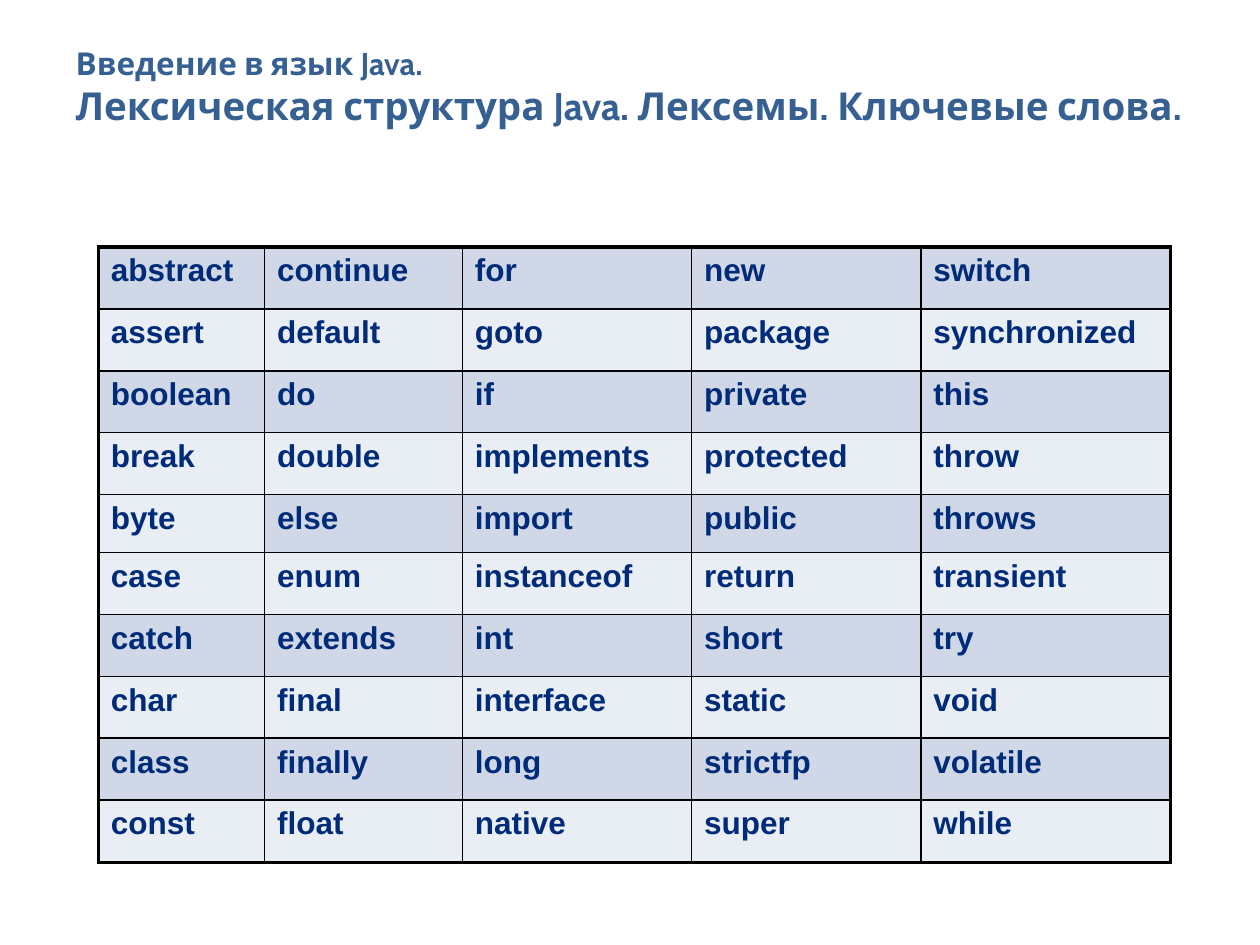
"""Build a slide that lists the Java keywords in a bordered table."""
import lxml.etree
import pptx
import pptx.dml.color
import pptx.enum.text
import pptx.oxml.ns
import pptx.util

Pt = pptx.util.Pt
RGBColor = pptx.dml.color.RGBColor

TITLE_LINES = [
    ("Введение в язык Java. ", 18),
    ("Лексическая структура Java. Лексемы. Ключевые слова.", 22),
]
KEYWORD_COLUMNS = [
    ["abstract", "assert", "boolean", "break", "byte", "case", "catch", "char", "class", "const"],
    ["continue", "default", "do", "double", "else", "enum", "extends", "final", "finally", "float"],
    ["for", "goto", "if", "implements", "import", "instanceof", "int", "interface", "long", "native"],
    ["new", "package", "private", "protected", "public", "return", "short", "static", "strictfp", "super"],
    ["switch", "synchronized", "this", "throw", "throws", "transient", "try", "void", "volatile", "while"],
]
COLUMN_WIDTHS = [95, 113, 131, 131, 142.6]
ROW_HEIGHTS = [35.4] * 4 + [33.1] + [35.4] * 4 + [35.7]
TABLE_LEFT, TABLE_TOP = 56.2, 141.1
OUTER_LINE, INNER_LINE = 2.21, 0.96
LIGHT_EXCEPTION = (4, 0)

TITLE_COLOR = RGBColor(0x37, 0x60, 0x92)
KEYWORD_COLOR = RGBColor(0x00, 0x2B, 0x78)
BORDER_COLOR = RGBColor(0x00, 0x00, 0x00)
DARK_BAND = RGBColor(0xD0, 0xD8, 0xE8)
LIGHT_BAND = RGBColor(0xE9, 0xED, 0xF4)


def add_child(parent, tag, **attributes):
    """Append a DrawingML element and return it."""
    return lxml.etree.SubElement(parent, pptx.oxml.ns.qn(tag), **attributes)


def set_font(font, name, color):
    """Apply a bold typeface and colour."""
    font.name = name
    font.bold = True
    font.color.rgb = color


def add_title(slide):
    """Fill and format the title placeholder."""
    title = slide.shapes.title
    title.left, title.top, title.width, title.height = Pt(36), Pt(21.6), Pt(648), Pt(90)
    frame = title.text_frame
    frame.word_wrap = True
    frame.auto_size = pptx.enum.text.MSO_AUTO_SIZE.NONE
    frame.vertical_anchor = pptx.enum.text.MSO_ANCHOR.TOP
    paragraph = frame.paragraphs[0]
    paragraph.alignment = pptx.enum.text.PP_ALIGN.LEFT
    for index, (text, size) in enumerate(TITLE_LINES):
        if index:
            paragraph.add_line_break()
            add_child(paragraph._p[-1], "a:rPr", sz=str(TITLE_LINES[index - 1][1] * 100))
        run = paragraph.add_run()
        run.text = text
        run.font.size = Pt(size)
        set_font(run.font, "Cabin", TITLE_COLOR)


def set_borders(cell, row, column):
    """Draw thick lines on the table's outer edges and thin ones inside."""
    outer_edges = {
        "a:lnL": column == 0,
        "a:lnR": column == len(COLUMN_WIDTHS) - 1,
        "a:lnT": row == 0,
        "a:lnB": row == len(ROW_HEIGHTS) - 1,
    }
    properties = cell._tc.get_or_add_tcPr()
    for tag, is_outer in outer_edges.items():
        width = Pt(OUTER_LINE if is_outer else INNER_LINE)
        line = add_child(properties, tag, w=str(int(width)))
        add_child(add_child(line, "a:solidFill"), "a:srgbClr", val=str(BORDER_COLOR))


def add_keyword_table(slide):
    """Add the banded table of keywords."""
    table = slide.shapes.add_table(
        len(ROW_HEIGHTS), len(COLUMN_WIDTHS), Pt(TABLE_LEFT), Pt(TABLE_TOP),
        Pt(sum(COLUMN_WIDTHS)), Pt(sum(ROW_HEIGHTS)),
    ).table
    table.first_row = False
    table.horz_banding = False
    for row, height in enumerate(ROW_HEIGHTS):
        table.rows[row].height = Pt(height)
    for column, keywords in enumerate(KEYWORD_COLUMNS):
        table.columns[column].width = Pt(COLUMN_WIDTHS[column])
        for row, keyword in enumerate(keywords):
            cell = table.cell(row, column)
            set_borders(cell, row, column)
            is_light = row % 2 == 1 or (row, column) == LIGHT_EXCEPTION
            cell.fill.solid()
            cell.fill.fore_color.rgb = LIGHT_BAND if is_light else DARK_BAND
            paragraph = cell.text_frame.paragraphs[0]
            paragraph.text = keyword
            paragraph.space_before = Pt(3.6)
            paragraph.font.size = Pt(18)
            set_font(paragraph.font, "Arial", KEYWORD_COLOR)


presentation = pptx.Presentation()
presentation.slide_width, presentation.slide_height = Pt(720), Pt(540)
slide = presentation.slides.add_slide(presentation.slide_layouts[5])
add_title(slide)
add_keyword_table(slide)
presentation.save("out.pptx")
